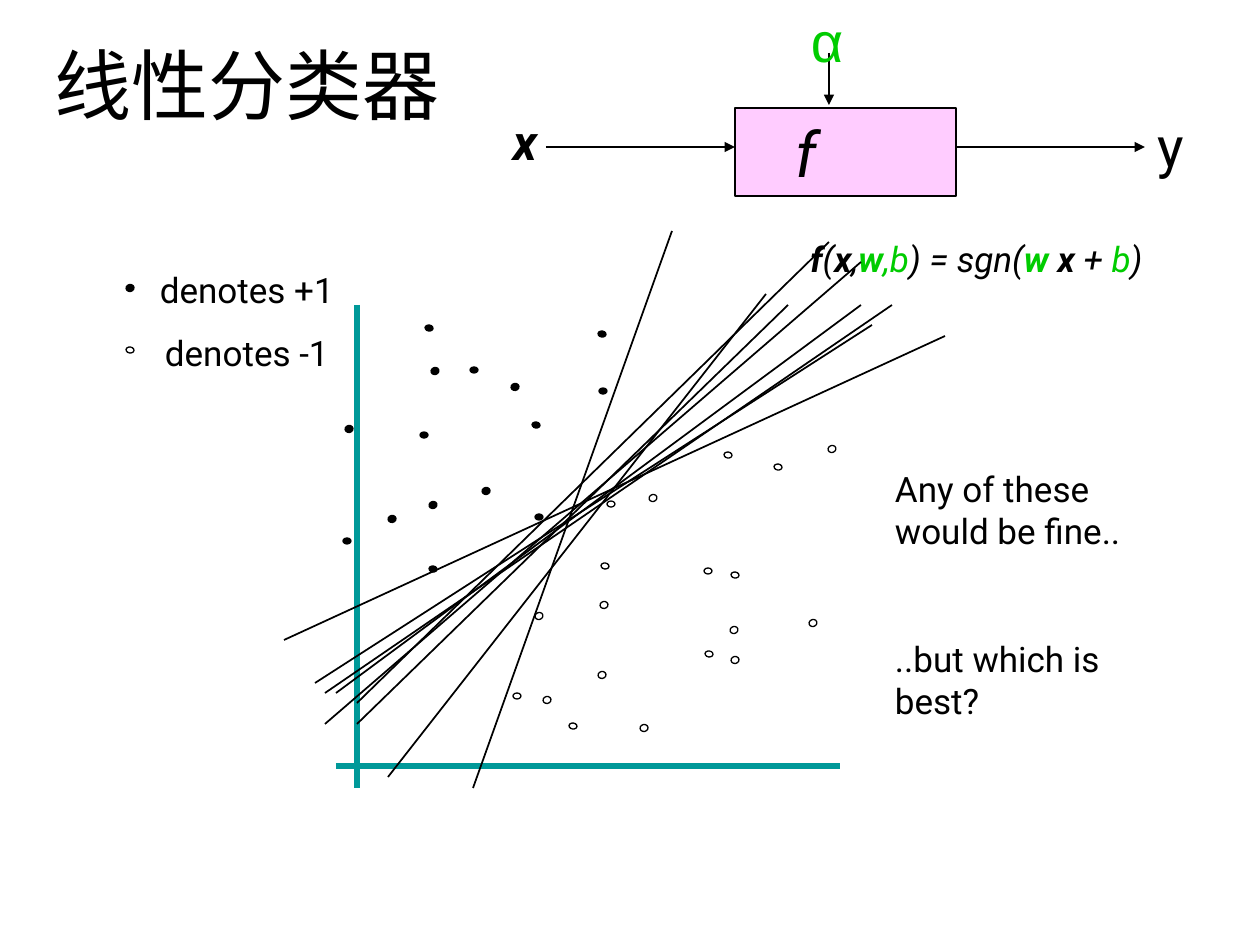
import pptx
import pptx.util
import pptx.dml.color
import pptx.enum.shapes
import pptx.enum.text
import pptx.oxml.ns
from lxml import etree

EMU_PER_PX = 914400 / 126
BLACK = pptx.dml.color.RGBColor(0x00, 0x00, 0x00)
WHITE = pptx.dml.color.RGBColor(0xFF, 0xFF, 0xFF)
GREEN = pptx.dml.color.RGBColor(0x00, 0xCC, 0x00)
TEAL = pptx.dml.color.RGBColor(0x00, 0x99, 0x99)
PINK = pptx.dml.color.RGBColor(0xFF, 0xCC, 0xFF)
LEFT = pptx.enum.text.PP_ALIGN.LEFT
CENTER = pptx.enum.text.PP_ALIGN.CENTER
TOP = pptx.enum.text.MSO_ANCHOR.TOP
MIDDLE = pptx.enum.text.MSO_ANCHOR.MIDDLE
BOTTOM = pptx.enum.text.MSO_ANCHOR.BOTTOM
RECTANGLE = pptx.enum.shapes.MSO_SHAPE.RECTANGLE
OVAL = pptx.enum.shapes.MSO_SHAPE.OVAL

POINT_GROUPS = [
    (8, 6, 0, BLACK, [(347, 541), (603, 391), (474, 370), (539, 517), (424, 435)]),
    (8, 6, 0, WHITE, [(517, 696), (611, 504), (708, 571)]),
    (8, 7, 341.4, BLACK, [(435, 371), (433, 505)]),
    (8, 7, 341.4, WHITE, [(539, 616), (832, 449), (734, 630), (653, 498), (813, 623)]),
    (6, 8, 98.2, BLACK, [(536, 425), (433, 569), (602, 334), (429, 328)]),
    (6, 8, 98.2, WHITE, [(130, 350), (573, 726), (735, 575), (605, 566),
                         (778, 467), (728, 455), (709, 654)]),
    (7, 8, 79.6, BLACK, [(130, 288), (486, 491), (392, 519), (515, 387), (349, 429)]),
    (7, 8, 79.6, WHITE, [(644, 728), (602, 675), (604, 605), (547, 700), (735, 660)]),
]

SEPARATORS = [
    (473, 788, 672, 231),
    (315, 683, 872, 325),
    (357, 724, 788, 305),
    (284, 640, 945, 336),
    (336, 693, 861, 305),
    (325, 724, 861, 262),
    (357, 703, 829, 242),
    (388, 777, 766, 294),
    (325, 693, 892, 305),
]

FORMULA = [
    ("f", True, BLACK), ("(", False, BLACK), ("x", True, BLACK), (",", False, BLACK),
    ("w", True, GREEN), (",b", False, GREEN), (") = sgn(", False, BLACK),
    ("w", True, GREEN), (" x ", True, BLACK), ("+ ", False, BLACK),
    ("b", False, GREEN), (")", False, BLACK),
]


def px(value):
    return pptx.util.Emu(round(value * EMU_PER_PX))


def set_frame(shape, anchor=TOP, left=13, right=13):
    frame = shape.text_frame
    frame.word_wrap = True
    frame.vertical_anchor = anchor
    frame.margin_left, frame.margin_right = px(left), px(right)
    frame.margin_top = frame.margin_bottom = px(6)
    return frame


def set_font(paragraph, size, name="Roboto", color=BLACK, bold=False, italic=False):
    font = paragraph.font
    font.size = pptx.util.Pt(size)
    font.name = name
    font.bold = bold
    font.italic = italic
    font.color.rgb = color


def add_text(slide, box, lines, size, align=LEFT, gap=0, anchor=TOP, left=13, **style):
    shape = slide.shapes.add_textbox(*map(px, box))
    frame = set_frame(shape, anchor, left)
    for index, line in enumerate(lines):
        paragraph = frame.paragraphs[0] if index == 0 else frame.add_paragraph()
        paragraph.text = line
        paragraph.alignment = align
        if index:
            paragraph.space_before = pptx.util.Pt(gap)
        set_font(paragraph, size, **style)


def add_formula(slide, box):
    frame = set_frame(slide.shapes.add_textbox(*map(px, box)))
    paragraph = frame.paragraphs[0]
    paragraph.alignment = CENTER
    paragraph.font.size = pptx.util.Pt(20)
    paragraph.font.name = "Roboto"
    paragraph.font.italic = True
    for text, bold, color in FORMULA:
        run = paragraph.add_run()
        run.text = text
        run.font.bold = bold
        run.font.color.rgb = color


def add_shape(slide, kind, box, fill, line_width):
    shape = slide.shapes.add_shape(kind, *map(px, box))
    shape.shadow.inherit = False
    shape.fill.solid()
    shape.fill.fore_color.rgb = fill
    shape.line.color.rgb = BLACK
    shape.line.width = pptx.util.Pt(line_width)
    return shape


def add_function_box(slide):
    shape = add_shape(slide, RECTANGLE, (735, 108, 221, 88), PINK, 1)
    paragraph = set_frame(shape, MIDDLE, right=91).paragraphs[0]
    paragraph.text = "f"
    paragraph.alignment = CENTER
    set_font(paragraph, 36, italic=True)


def add_point(slide, x, y, width, height, rotation, fill):
    box = (x - width / 2, y - height / 2, width, height)
    add_shape(slide, OVAL, box, fill, 0.75).rotation = rotation


def add_line(slide, ends, color=BLACK, width=1, arrow=False):
    straight = pptx.enum.shapes.MSO_CONNECTOR.STRAIGHT
    connector = slide.shapes.add_connector(straight, *map(px, ends))
    connector.line.color.rgb = color
    connector.line.width = pptx.util.Pt(width)
    if arrow:
        outline = connector.line._get_or_add_ln()
        etree.SubElement(outline, pptx.oxml.ns.qn("a:tailEnd"), type="triangle")
    properties = connector._element.spPr
    etree.SubElement(properties, pptx.oxml.ns.qn("a:effectLst"))


def main():
    presentation = pptx.Presentation()
    presentation.slide_width = px(1260)
    presentation.slide_height = px(945)
    slide = presentation.slides.add_slide(presentation.slide_layouts[6])

    add_text(slide, (21, 42, 640, 94), ["线性分类器"], 44, anchor=BOTTOM, left=34, name="Arial")

    add_function_box(slide)
    for ends in [(546, 147, 735, 147), (829, 53, 829, 105), (956, 147, 1145, 147)]:
        add_line(slide, ends, arrow=True)
    add_text(slide, (483, 105, 84, 72), ["x"], 28, CENTER, bold=True, italic=True)
    add_text(slide, (798, 0, 53, 81), ["α"], 32, CENTER, name="Arial", color=GREEN)
    add_text(slide, (1144, 105, 95, 81), ["y"], 32)

    add_text(slide, (116, 262, 262, 118), ["denotes +1", "denotes -1"], 20, CENTER, gap=12.5)
    for ends in [(357, 305, 357, 788), (336, 766, 840, 766)]:
        add_line(slide, ends, TEAL, 3)
    for width, height, rotation, fill, centers in POINT_GROUPS:
        for x, y in centers:
            add_point(slide, x, y, width, height, rotation, fill)

    add_formula(slide, (756, 231, 441, 55))
    add_text(slide, (882, 462, 305, 267),
             ["Any of these would be fine..", "..but which is best?"], 20, gap=49)
    for ends in SEPARATORS:
        add_line(slide, ends)

    presentation.save("out.pptx")


if __name__ == "__main__":
    main()
